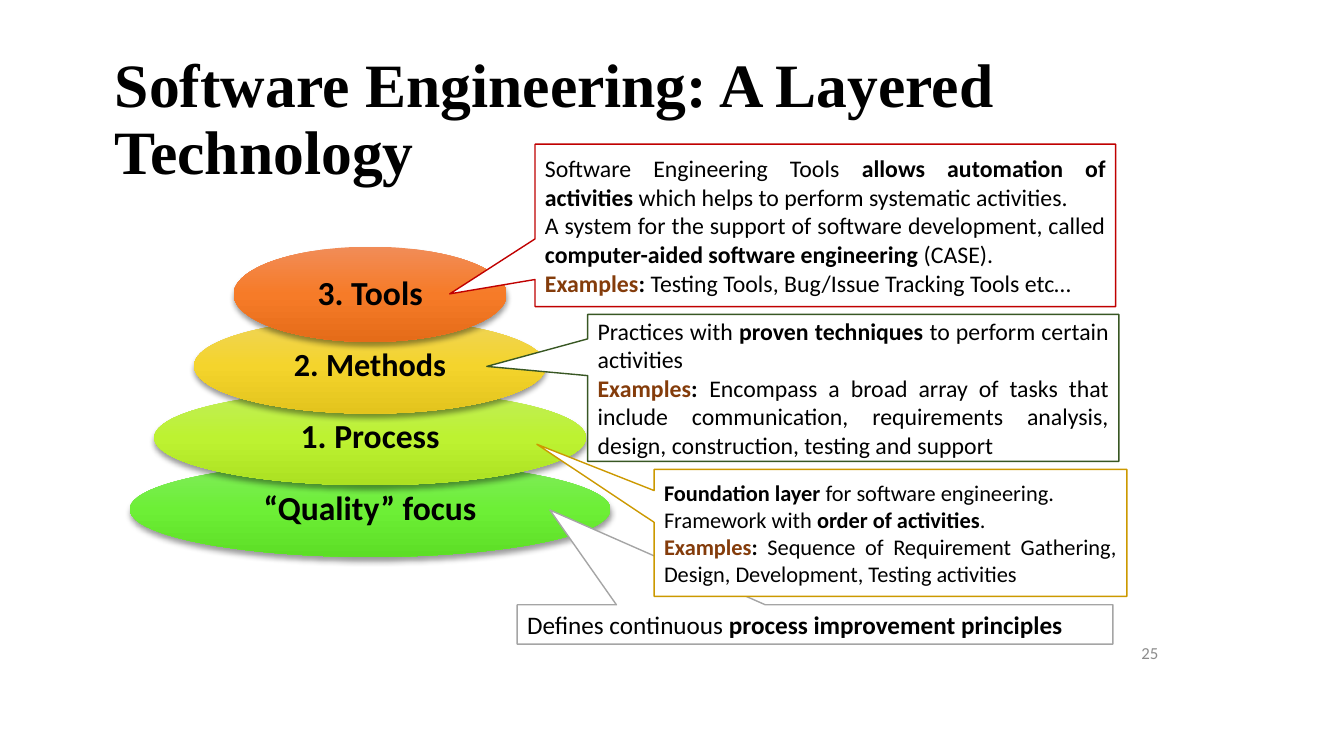
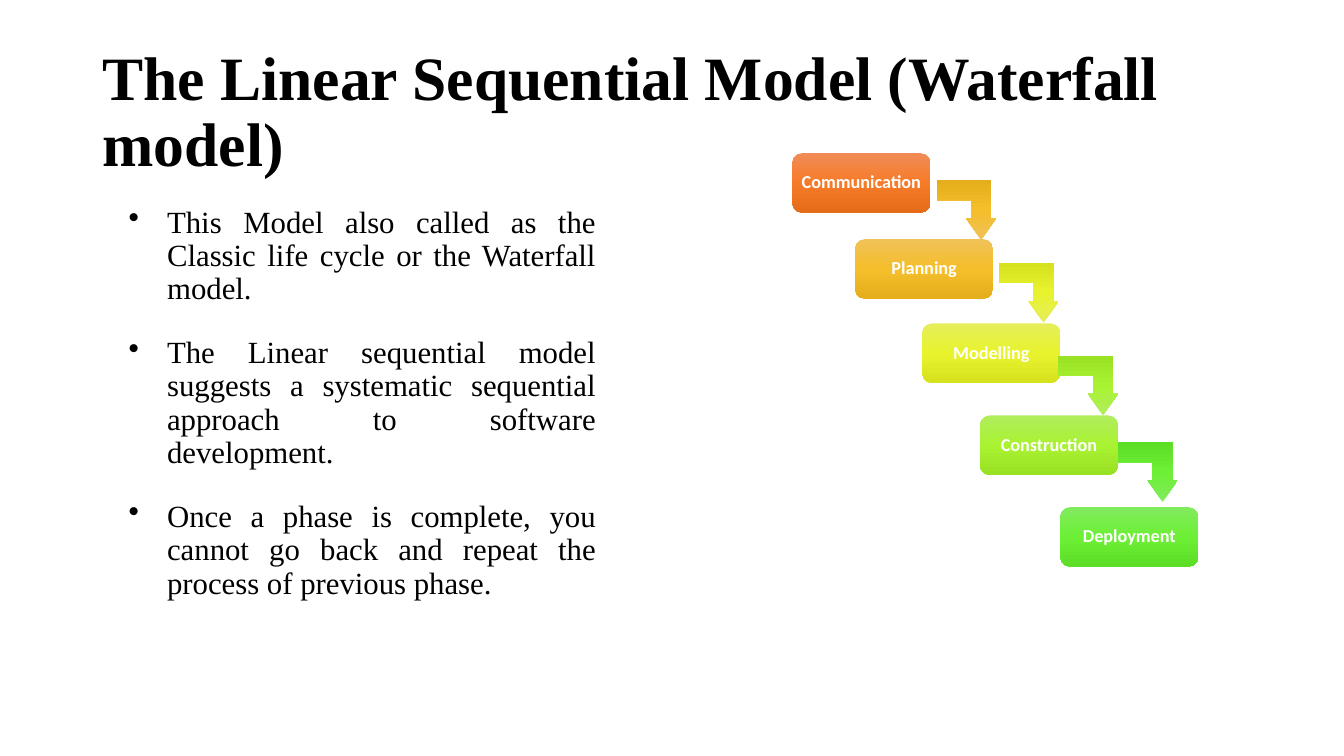
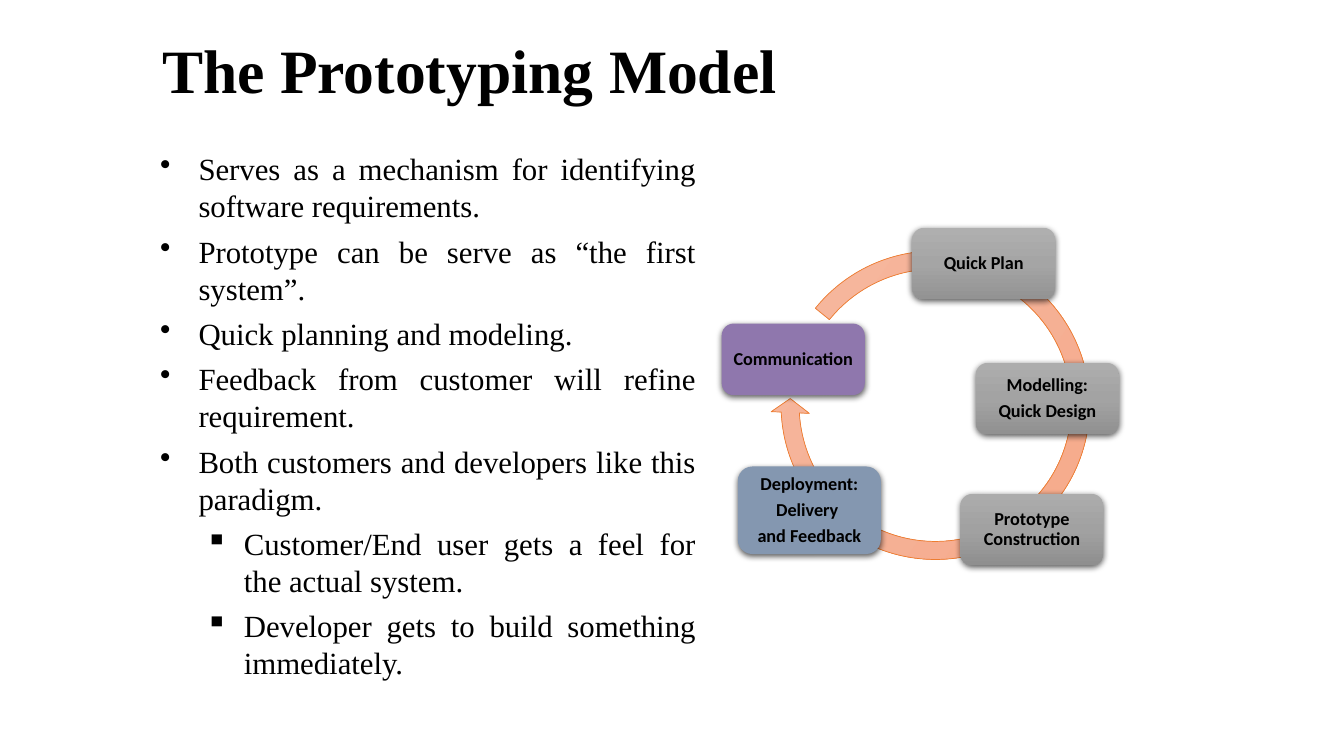
"""Builds three slides on software engineering layers and process models."""
from copy import deepcopy

from lxml import etree
from pptx import Presentation
from pptx import util as u
from pptx.dml.color import RGBColor
from pptx.enum import shapes, text
from pptx.oxml.ns import qn

Pt = u.Pt
SHAPE = shapes.MSO_SHAPE
ALIGN = text.PP_ALIGN
ANCHOR = text.MSO_ANCHOR

COLORS = {
    "ink": "000000",
    "paper": "FFFFFF",
    "page_number": "8C8C8C",
    "example": "843C0B",
    "quality_line": "A5A5A5",
    "process_line": "CC9900",
    "tools_line": "C00000",
    "methods_line": "385723",
    "cycle_line": "ED7D31",
    "feedback": "8497B0",
    "communication": "8F77AD",
}
GRADIENTS = {
    "green": ("81EB5E", "6DEF36", "5DDE26"),
    "lime": ("C1ED5B", "BDF231", "ACE122"),
    "grass": ("B1ED5C", "A9F232", "99E123"),
    "yellow": ("E5EE5A", "E8F32E", "D7E21F"),
    "gold": ("EFD459", "F4D42C", "E3C41D"),
    "amber": ("F0C258", "F5BE2B", "E4AE1C"),
    "orange": ("F18C57", "F67B28", "E56C19"),
    "peach": ("F7BDA5", "F5B196", "F8A582"),
    "gray_light": ("AFAFAF", "A5A5A5", "939393"),
    "gray_mid": ("ADADAD", "A3A3A3", "919191"),
    "gray_dark": ("ACACAC", "A1A1A1", "8F8F8F"),
}
SANS, SERIF = "Calibri", "Times New Roman"
DEFAULT_INSETS = (7.2, 3.6)
LAYER_SHADOW = (40, 4, 3)
CYCLE_SHADOW = (63, 4.5, 1.5)
BULLET_HANG = 27.4
EXAMPLES = ("Examples", "example")


def rgb(name):
    return RGBColor.from_string(COLORS[name])


def pts(*lengths):
    return [Pt(length) for length in lengths]


def write(shape, paragraphs, size, font=SANS, color="ink", bold=False,
          align=ALIGN.LEFT, anchor=ANCHOR.MIDDLE, insets=DEFAULT_INSETS,
          line=1.0, before=0, after=0):
    frame = shape.text_frame
    frame.word_wrap = True
    frame.vertical_anchor = anchor
    frame.margin_left = frame.margin_right = Pt(insets[0])
    frame.margin_top = frame.margin_bottom = Pt(insets[1])
    for index, content in enumerate(paragraphs):
        paragraph = frame.add_paragraph() if index else frame.paragraphs[0]
        paragraph.alignment = align
        paragraph.line_spacing = line
        paragraph.space_before, paragraph.space_after = pts(before, after)
        pieces = [(content, "plain")] if isinstance(content, str) else content
        for words, style in pieces:
            run = paragraph.add_run()
            run.text = words
            run.font.name = font
            run.font.size = Pt(size)
            run.font.bold = bold or style != "plain"
            run.font.color.rgb = rgb("example" if style == "example" else color)
    return frame


def paint(shape, fill):
    if fill in COLORS:
        shape.fill.solid()
        shape.fill.fore_color.rgb = rgb(fill)
        return
    shape.fill.gradient()
    shape.fill.gradient_angle = 270
    stop_list = shape._element.spPr.find(".//" + qn("a:gsLst"))
    stop_list.append(deepcopy(stop_list[0]))
    for index, stop in enumerate(shape.fill.gradient_stops):
        stop.position = index / 2
        stop.color.rgb = RGBColor.from_string(GRADIENTS[fill][index])


def cast_shadow(shape, opacity, blur, distance):
    effects = shape._element.spPr.find(qn("a:effectLst"))
    outer = etree.SubElement(effects, qn("a:outerShdw"), blurRad=str(Pt(blur)),
                             dist=str(Pt(distance)), dir="5400000",
                             rotWithShape="0")
    tint = etree.SubElement(outer, qn("a:srgbClr"), val=COLORS["ink"])
    etree.SubElement(tint, qn("a:alpha"), val=str(opacity * 1000))


def add_figure(slide, preset, box, fill, line=None, width=1, adjust=(),
               shadow=None):
    figure = slide.shapes.add_shape(preset, *pts(*box))
    figure.shadow.inherit = False
    paint(figure, fill)
    if line:
        figure.line.color.rgb = rgb(line)
        figure.line.width = Pt(width)
    else:
        figure.line.fill.background()
    for index, value in enumerate(adjust):
        figure.adjustments[index] = value
    if shadow:
        cast_shadow(figure, *shadow)
    return figure


def add_label(figure, lines, size, color="ink", inset=3):
    write(figure, lines, size, color=color, bold=True, align=ALIGN.CENTER,
          insets=(inset, inset), line=0.9, after=4.5 if len(lines) > 1 else 0)


def add_title(slide, words, box, after=0):
    title = slide.shapes.add_textbox(*pts(*box))
    write(title, [words], 44, SERIF, bold=True, line=0.9, after=after)


def add_bullets(slide, box, items, base=0, **spacing):
    body = slide.shapes.add_textbox(*pts(*box))
    frame = write(body, [words for words, _ in items], 22, SERIF,
                  align=ALIGN.JUSTIFY, anchor=ANCHOR.TOP, **spacing)
    for paragraph, (_, level) in zip(frame.paragraphs, items):
        paragraph.level = level
        properties = paragraph._p.get_or_add_pPr()
        properties.set("marL", str(Pt(base + BULLET_HANG + 32.4 * level)))
        properties.set("indent", str(Pt(-BULLET_HANG)))
        etree.SubElement(properties, qn("a:buChar"), char="•▪"[level])


def add_callout(slide, box, pointer, line, size, paragraphs):
    callout = add_figure(slide, SHAPE.RECTANGULAR_CALLOUT, box, "paper", line,
                         adjust=pointer)
    write(callout, paragraphs, size, align=ALIGN.JUSTIFY)


def add_turn_arrow(slide, left, top, fill):
    arrow = add_figure(slide, SHAPE.BENT_UP_ARROW, (left, top, 42.5, 42.5),
                       fill, adjust=(0.33, 0.25, 0.36))
    arrow.rotation = 180
    arrow._element.spPr.find(qn("a:xfrm")).set("flipH", "1")


def build_layers(slide):
    add_title(slide, "Software Engineering: A Layered Technology",
              (75, 34.6, 852, 103.7), after=6)
    number = slide.shapes.add_textbox(*pts(661.7, 454.3, 172.8, 23.8))
    write(number, ["25"], 12, color="page_number", align=ALIGN.RIGHT)

    center, lowest, pitch = 264.4, 329.8, 51.2
    layers = [
        ("“Quality” focus", 343.4, "green", 24),
        ("1. Process", 308.4, "lime", 24),
        ("2. Methods", 251.6, "gold", 23),
        ("3. Tools", 195, "orange", 24),
    ]
    for rank, (name, width, fill, size) in enumerate(layers):
        box = (center - width / 2, lowest - pitch * rank, width, 68)
        layer = add_figure(slide, SHAPE.OVAL, box, fill, shadow=LAYER_SHADOW)
        add_label(layer, [name], size, inset=0)

    add_callout(slide, (369.4, 432, 425.5, 28.1), (-0.445, -2.91),
                "quality_line", 18, [
        [("Defines continuous ", "plain"),
         ("process improvement principles", "bold")],
    ])
    add_callout(slide, (467.2, 335.3, 337.7, 90.7), (-0.748, -0.698),
                "process_line", 16, [
        [("Foundation layer", "bold"),
         (" for software engineering. ", "plain")],
        [("Framework with ", "plain"), ("order of activities", "bold"),
         (".", "plain")],
        [EXAMPLES, (": ", "bold"),
         ("Sequence of Requirement Gathering, Design, Development, "
          "Testing activities", "plain")],
    ])
    add_callout(slide, (382.2, 103, 414.7, 116), (-0.647, 0.422),
                "tools_line", 17, [
        [("Software Engineering Tools ", "plain"),
         ("allows automation of activities ", "bold"),
         ("which helps to perform systematic activities. ", "plain")],
        [("A system for the support of software development, called ",
          "plain"),
         ("computer-aided software engineering ", "bold"),
         ("(CASE).", "plain")],
        [EXAMPLES, (": ", "bold"),
         ("Testing Tools, Bug/Issue Tracking Tools etc…", "plain")],
    ])
    add_callout(slide, (419.8, 224.6, 379.4, 105), (-0.69, -0.146),
                "methods_line", 17, [
        [("Practices with ", "plain"), ("proven techniques ", "bold"),
         ("to perform certain activities", "plain")],
        [EXAMPLES, (":", "bold"),
         ("\t Encompass a broad array of tasks that include communication, "
          "requirements analysis, design, construction, testing and support",
          "plain")],
    ])


def build_waterfall(slide):
    add_title(slide, "The Linear Sequential Model (Waterfall model)",
              (66.2, 28.8, 828, 104.4))
    add_bullets(slide, (66.2, 144, 366.5, 342.7), [
        ("This Model also called as the Classic life cycle or the "
         "Waterfall model. ", 0),
        ("The Linear sequential model suggests a systematic sequential "
         "approach to software development.", 0),
        ("Once a phase is complete, you cannot go back and repeat the "
         "process of previous phase.", 0),
    ], base=18.7, line=0.9, before=10, after=12)
    phases = [
        ("Communication", 566, 109.4, "orange", None),
        ("Planning", 610.8, 170.8, "amber", (668.9, 128.9)),
        ("Modelling", 658.8, 231, "yellow", (713.5, 188)),
        ("Construction", 700, 296.7, "grass", (756, 254.2)),
        ("Deployment", 757.4, 362.2, "green", (798.5, 316)),
    ]
    for name, left, top, fill, arrow in phases:
        phase = add_figure(slide, SHAPE.ROUNDED_RECTANGLE,
                           (left, top, 98.6, 42.5), fill)
        add_label(phase, [name], 13, "paper")
        if arrow:
            add_turn_arrow(slide, *arrow, fill)


def build_prototyping(slide):
    add_bullets(slide, (107.3, 103.7, 396.7, 390.2), [
        ("Serves as a mechanism for identifying software requirements.", 0),
        ("Prototype can be serve as “the first system”.", 0),
        ("Quick planning and modeling.", 0),
        ("Feedback from customer will refine requirement.", 0),
        ("Both customers and developers like this paradigm.", 0),
        ("Customer/End user gets a feel for the actual system.", 1),
        ("Developer gets to build something immediately.", 1),
    ], after=6)
    add_title(slide, "The Prototyping Model", (108.7, 12.2, 689.8, 80.6),
              after=6)
    cycle = add_figure(slide, SHAPE.CIRCULAR_ARROW,
                       (550.8, 172.1, 234.7, 234.7), "peach", "cycle_line",
                       0.5, (0.055, 3.307, 139.274, 164.363, 0.058))
    cycle.rotation = 305
    stages = [
        (["Quick Plan"], 651.6, 162.7, 51.1, "gray_light"),
        (["Modelling:", "Quick Design"], 697, 259.2, 51.1, "gray_mid"),
        (["Prototype Construction"], 686, 352.8, 51.1, "gray_dark"),
        (["Deployment:", "Delivery ", "and Feedback"], 527, 333.2, 62.6,
         "feedback"),
        (["Communication"], 515.5, 231.1, 51.1, "communication"),
    ]
    for lines, left, top, height, fill in stages:
        stage = add_figure(slide, SHAPE.ROUNDED_RECTANGLE,
                           (left, top, 102.2, height), fill,
                           shadow=CYCLE_SHADOW)
        add_label(stage, lines, 13)


def main():
    deck = Presentation()
    deck.slide_width, deck.slide_height = pts(960, 540)
    for build in (build_layers, build_waterfall, build_prototyping):
        build(deck.slides.add_slide(deck.slide_layouts[6]))
    deck.save("out.pptx")


if __name__ == "__main__":
    main()
